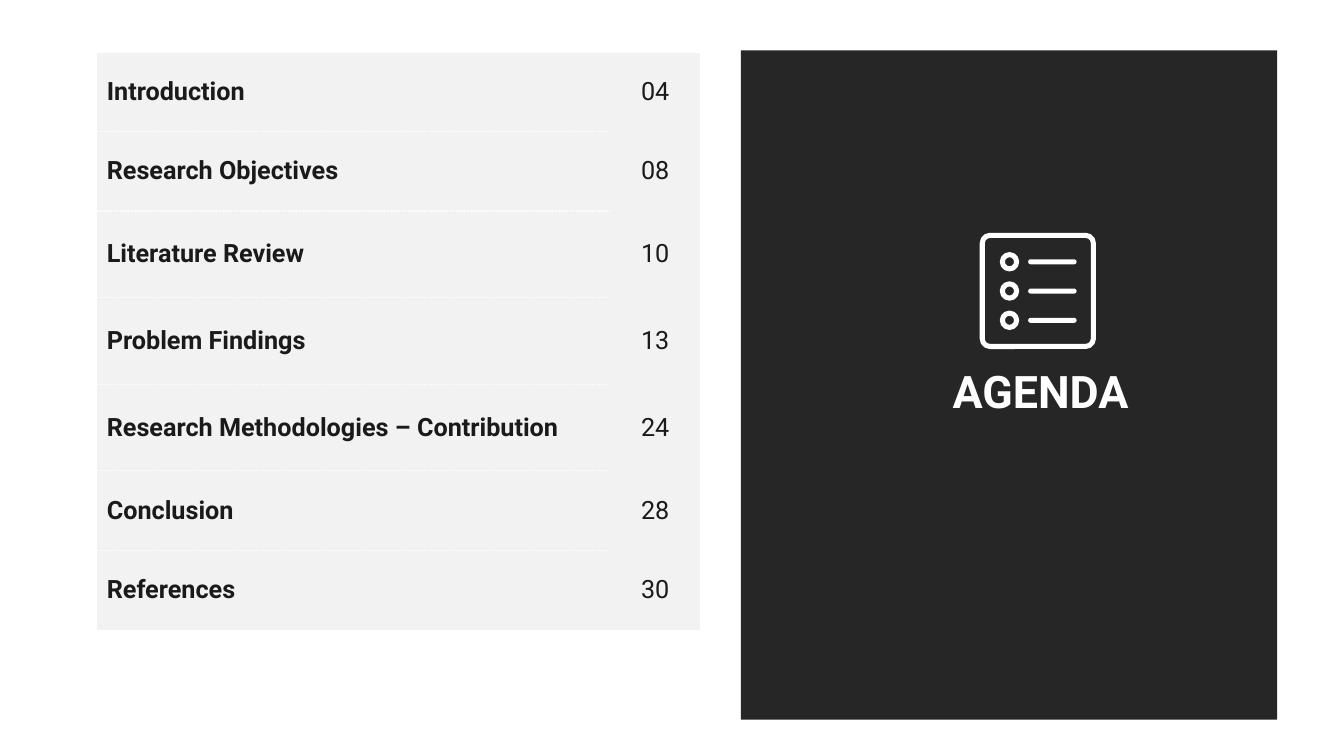
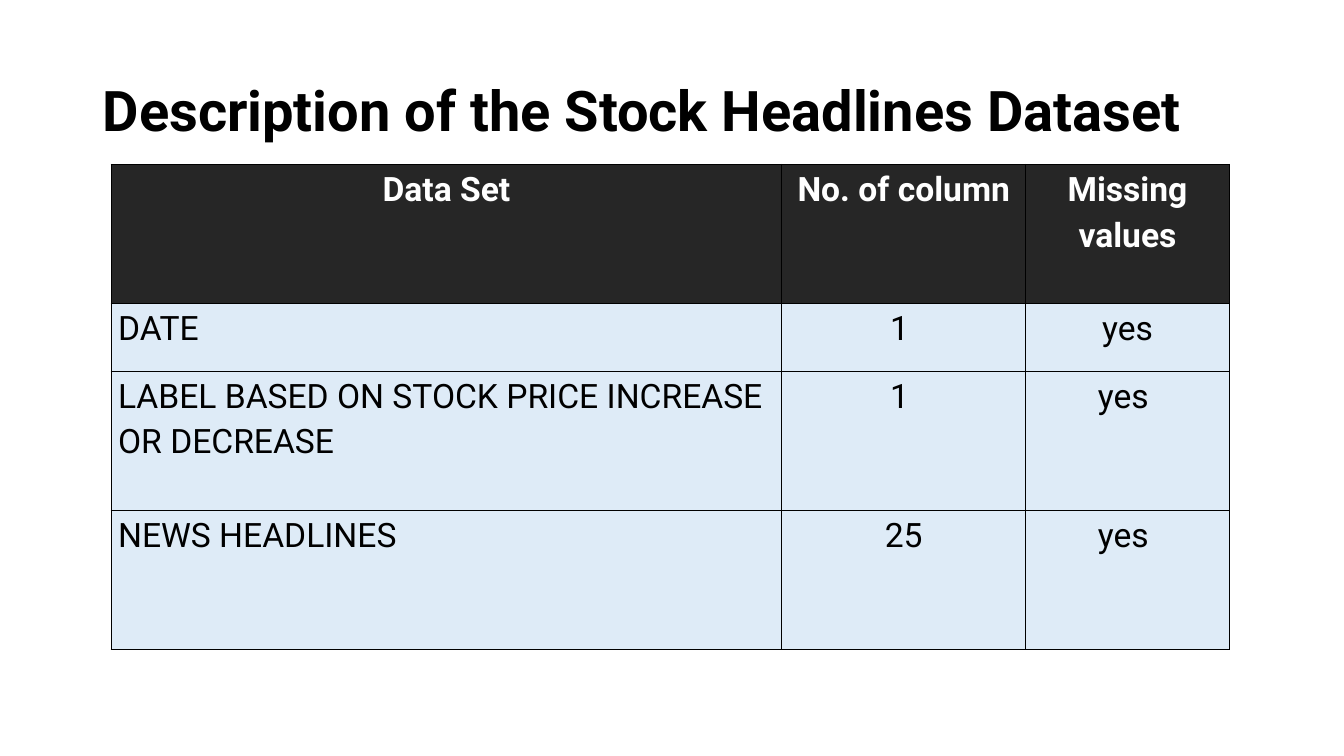
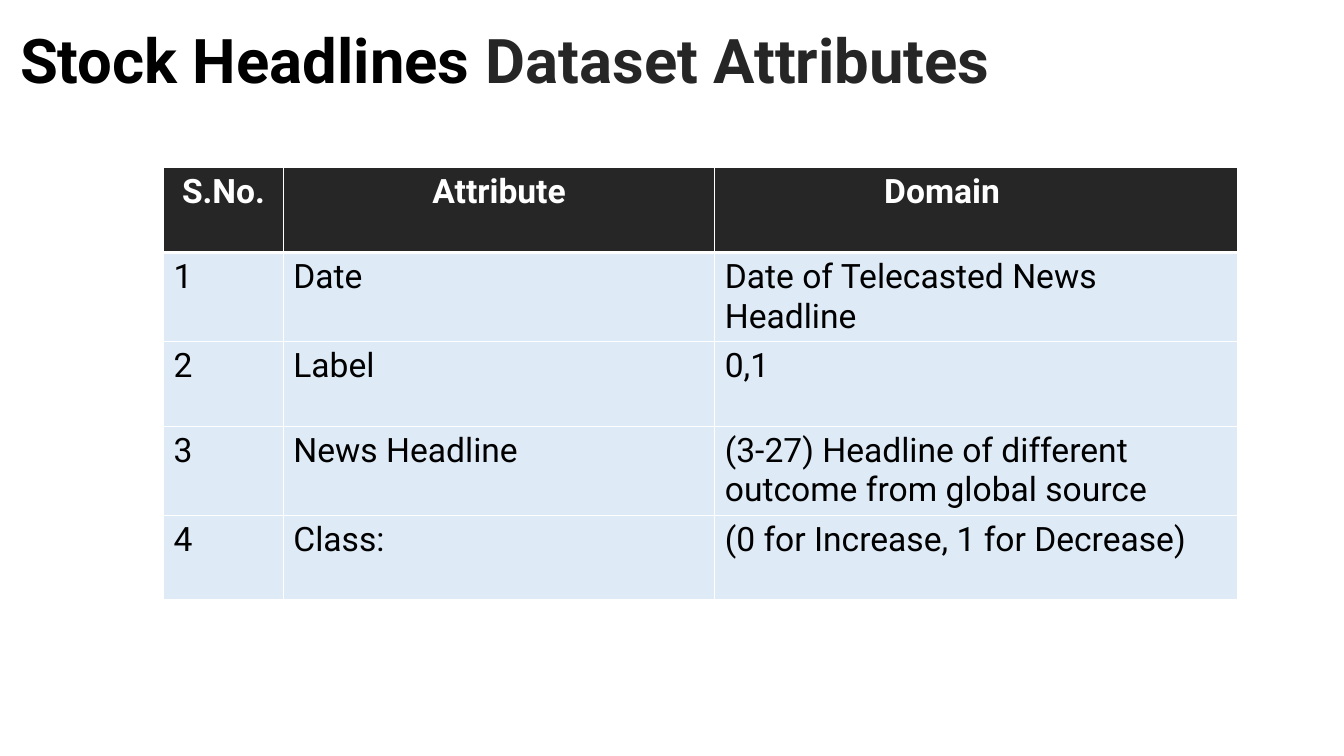
import pptx
import pptx.util
import pptx.dml.color
import pptx.enum.shapes
import pptx.enum.text
import pptx.oxml

Pt = pptx.util.Pt
hues = {"dark": "262626", "text": "1A1A1A", "black": "000000",
        "white": "FFFFFF", "grey": "F2F2F2", "pale": "DEEBF7"}
kinds = pptx.enum.shapes.MSO_SHAPE
align = pptx.enum.text.PP_ALIGN
left, mid = align.LEFT, align.CENTER
plain = "{2D5ABB26-0587-4C30-8999-92F81FD0307C}"


def ink(frame, size, hue, bold, side, lead, after=0):
    for para in frame.paragraphs:
        para.alignment = side
        para.line_spacing = lead
        para.space_after = Pt(after)
        for run in para.runs:
            run.font.name = "Roboto"
            run.font.size = Pt(size)
            run.font.bold = bold
            run.font.color.rgb = pptx.dml.color.RGBColor.from_string(hues[hue])


def edge(cell, hue, dash, sides):
    props = cell._tc.get_or_add_tcPr()
    for place, (side, width) in enumerate(sides.items()):
        props.insert(place, pptx.oxml.parse_xml(
            f'<a:ln{side} xmlns:a="http://schemas.openxmlformats.org/drawingml/2006/main" '
            f'w="{Pt(width)}"><a:solidFill><a:srgbClr val="{hues[hue]}"/></a:solidFill>'
            f'<a:prstDash val="{dash}"/></a:ln{side}>'))


pages = [
    {"title": ["AGENDA"], "box": (611.3, 260, 264.2, 38.7), "size": 32,
     "hue": "white", "side": mid, "lead": 1, "pad": (0, 0),
     "at": (69.1, 37.6), "cols": [367.2, 63.4],
     "rows": [56.2, 56.9, 61.9, 61.9, 61.9, 56.9, 56.9],
     "head": False, "fill": "grey", "font": (18, "text"), "mid": [1],
     "cell": (7.2, 7.2), "space": (1, 0),
     "data": [["Introduction", "04"], ["Research Objectives", "08"],
              ["Literature Review", "10"], ["Problem Findings", "13"],
              ["Research Methodologies – Contribution", "24"],
              ["Conclusion", "28"], ["References", "30"]]},
    {"title": ["Description of the Stock Headlines Dataset"],
     "box": (66.2, 28.8, 828, 104.4), "size": 40,
     "hue": "black", "side": left, "lead": 0.9, "pad": (7.2, 3.6),
     "at": (79.4, 117.5), "cols": [479, 174.3, 145.4],
     "rows": [99.4, 48.2, 99.4, 99.4],
     "head": True, "fill": "pale", "font": (24, "black"), "mid": [1, 2],
     "cell": (5, 0), "space": (1.15, 10),
     "data": [["Data Set", "No. of column", "Missing values"],
              ["DATE", "1 ", "yes"],
              ["LABEL BASED ON STOCK PRICE INCREASE OR DECREASE", "1 ", "yes "],
              ["NEWS HEADLINES", "25", "yes "]]},
    {"title": ["Stock Headlines ", "Dataset Attributes"],
     "box": (7.2, 10.8, 952.6, 69.1), "size": 44,
     "hue": "black", "side": left, "lead": 0.9, "pad": (7.2, 3.6),
     "at": (116.9, 119.8), "cols": [85.5, 308.2, 373.7], "rows": [60.5] * 5,
     "head": True, "fill": "pale", "font": (24, "black"), "mid": [],
     "cell": (7.2, 3.6), "space": (1, 0),
     "data": [["S.No.", "Attribute", "Domain"],
              ["1", "Date", "Date of Telecasted News Headline"],
              ["2", "Label", "0,1"],
              ["3", "News Headline",
               "(3-27) Headline of different outcome from global source"],
              ["4", "Class:", "(0 for Increase, 1 for Decrease)"]]},
]

deck = pptx.Presentation()
deck.slide_width, deck.slide_height = Pt(960), Pt(540)
grids = []

for page in pages:
    slide = deck.slides.add_slide(deck.slide_layouts[5])
    title = slide.shapes.title
    title.left, title.top, title.width, title.height = map(Pt, page["box"])
    frame = title.text_frame
    frame.auto_size = pptx.enum.text.MSO_AUTO_SIZE.NONE
    frame.word_wrap = True
    frame.vertical_anchor = pptx.enum.text.MSO_ANCHOR.MIDDLE
    frame.margin_left = frame.margin_right = Pt(page["pad"][0])
    frame.margin_top = frame.margin_bottom = Pt(page["pad"][1])
    for part in page["title"]:
        frame.paragraphs[0].add_run().text = part
    ink(frame, page["size"], page["hue"], True, page["side"], page["lead"])

    cols, rows, data = page["cols"], page["rows"], page["data"]
    shape = slide.shapes.add_table(
        len(rows), len(cols), *map(Pt, page["at"]), Pt(sum(cols)), Pt(sum(rows)))
    grid = shape.table
    grid._tbl.tblPr.find(pptx.oxml.ns.qn("a:tableStyleId")).text = plain
    grid.horz_banding = False
    grid.first_row = page["head"]
    for col, width in zip(grid.columns, cols):
        col.width = Pt(width)
    for row, height in zip(grid.rows, rows):
        row.height = Pt(height)
    for r, line in enumerate(data):
        for c, word in enumerate(line):
            cell = grid.cell(r, c)
            head = page["head"] and r == 0
            cell.text_frame.text = word
            cell.margin_left = cell.margin_right = Pt(page["cell"][0])
            cell.margin_top = cell.margin_bottom = Pt(page["cell"][1])
            cell.fill.solid()
            cell.fill.fore_color.rgb = pptx.dml.color.RGBColor.from_string(
                hues["dark" if head else page["fill"]])
            size, hue = page["font"]
            bold = head or (not page["head"] and c == 0)
            side = mid if head or c in page["mid"] else left
            ink(cell.text_frame, size, "white" if head else hue, bold, side,
                *page["space"])
    grids.append(grid)

plan, stock, attrs = grids
last = len(plan.rows) - 1
for r in range(last + 1):
    for c in range(2):
        plan.cell(r, c).vertical_anchor = pptx.enum.text.MSO_ANCHOR.MIDDLE
    sides = {"T": 1} if r > 0 else {}
    if r < last:
        sides["B"] = 1
    edge(plan.cell(r, 0), "white", "sysDot", sides)

for cell in stock.iter_cells():
    edge(cell, "black", "solid", {"L": 1, "R": 1, "T": 1, "B": 1})

for r in range(len(attrs.rows)):
    for c in range(len(attrs.columns)):
        edge(attrs.cell(r, c), "white", "solid",
             {"L": 1, "R": 1, "T": 3 if r == 1 else 1, "B": 3 if r == 0 else 1})
domain = attrs.cell(0, 2)
domain.margin_left = Pt(121)
domain.text_frame.paragraphs[0].alignment = left

run = deck.slides[2].shapes.title.text_frame.paragraphs[0].runs[1]
run.font.color.rgb = pptx.dml.color.RGBColor.from_string(hues["dark"])

shapes = deck.slides[0].shapes
panel = shapes.add_shape(kinds.RECTANGLE, Pt(529.2), Pt(36), Pt(383), Pt(478))
panel.shadow.inherit = False
panel.fill.solid()
panel.fill.fore_color.rgb = pptx.dml.color.RGBColor.from_string(hues["dark"])
panel.line.fill.background()

icon = shapes.add_group_shape()
parts = [(kinds.ROUNDED_RECTANGLE, 701.6, 168.1, 79.4, 79.4, 0.07)]
for n in range(3):
    y = 187 + 20.9 * n
    parts.append((kinds.OVAL, 716, y - 5.1, 10.2, 10.2, None))
    parts.append((kinds.ROUNDED_RECTANGLE, 734.4, y - 1.8, 34.6, 3.6, 0.5))
for kind, x, y, width, height, bend in parts:
    part = icon.shapes.add_shape(kind, Pt(x), Pt(y), Pt(width), Pt(height))
    part.shadow.inherit = False
    white = pptx.dml.color.RGBColor.from_string(hues["white"])
    if bend is not None:
        part.adjustments[0] = bend
    if bend == 0.5:
        part.fill.solid()
        part.fill.fore_color.rgb = white
        part.line.fill.background()
    else:
        part.fill.background()
        part.line.color.rgb = white
        part.line.width = Pt(3.6)
shapes.element.append(shapes.title.element)

deck.save("out.pptx")
